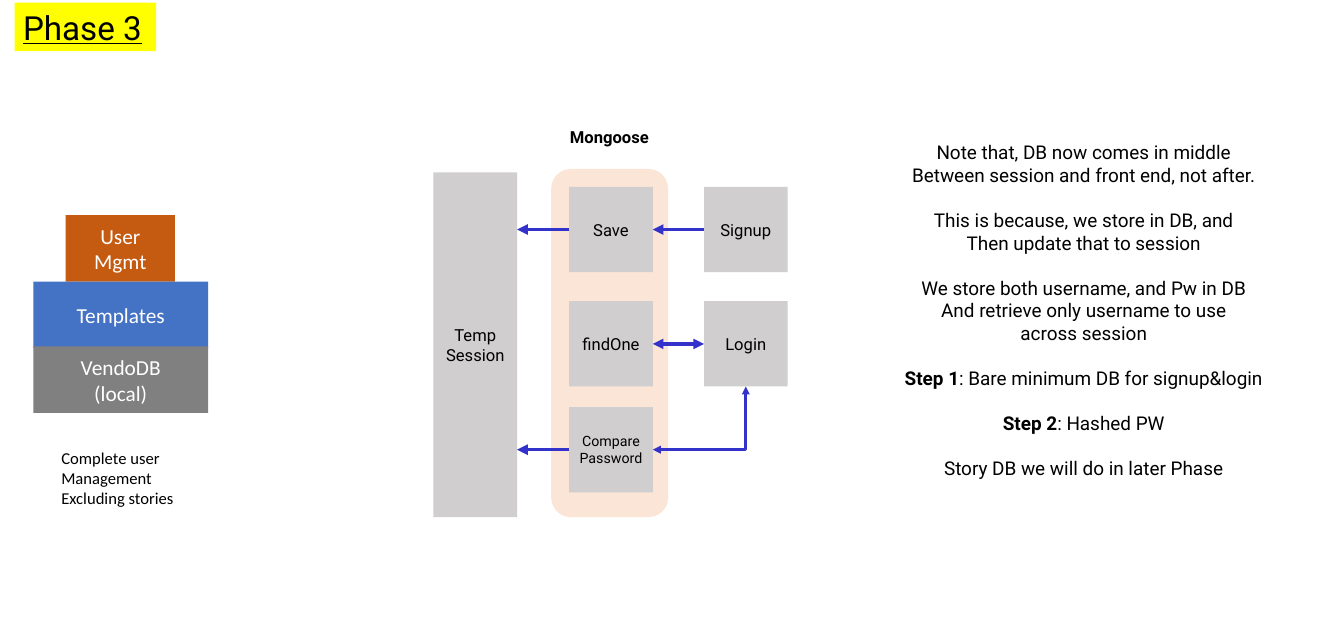
from dataclasses import dataclass

from lxml.etree import SubElement
from pptx import Presentation
from pptx.dml.color import RGBColor
from pptx.enum.shapes import MSO_CONNECTOR, MSO_SHAPE
from pptx.enum.text import MSO_ANCHOR, MSO_AUTO_SIZE, PP_ALIGN
from pptx.oxml.ns import qn
from pptx.util import Emu, Pt


@dataclass(frozen=True)
class Theme:
    display: str = "Roboto"
    body: str = "Calibri"
    black: str = "000000"
    white: str = "FFFFFF"
    highlight: str = "FFFF00"
    orange: str = "C55A11"
    blue: str = "4472C4"
    gray: str = "808080"
    panel: str = "FBE5D6"
    box: str = "D0CECE"
    arrow: str = "3333CC"
    title_size: int = 28
    layer_size: int = 18
    note_size: int = 16
    label_size: int = 14
    small_size: int = 12
    note_gap: float = 18.75
    arrow_width: float = 3
    bent_width: float = 2.25


THEME = Theme()
EMU_PER_PX = 9144

TITLE = "Phase 3"
LAYERS = [
    (["User Mgmt"], (77, 252, 128, 78), THEME.orange),
    (["Templates"], (39, 330, 205, 78), THEME.blue),
    (["VendoDB", "(local)"], (39, 406, 205, 78), THEME.gray),
]
CAPTION = ["Complete user", "Management", "Excluding stories"]
LIBRARY = "Mongoose"
SESSION = ["Temp", "Session"]
MODEL_STEPS = [
    (["Save"], THEME.label_size),
    (["findOne"], THEME.label_size),
    (["Compare", "Password"], THEME.small_size),
]
PAGES = ["Signup", "Login"]
NOTES = [
    [("", "Note that, DB now comes in middle"),
     ("", "Between session and front end, not after.")],
    [("", "This is because, we store in DB, and"),
     ("", "Then update that to session")],
    [("", "We store both username, and Pw in DB"),
     ("", "And retrieve only username to use"),
     ("", "across session")],
    [("Step 1", ": Bare minimum DB for signup&login")],
    [("Step 2", ": Hashed PW")],
    [("", "Story DB we will do in later Phase")],
]

ROW_TOPS = [219, 353, 477]
MODEL_LEFT, PAGE_LEFT = 667, 825
BOX_WIDTH, BOX_HEIGHT = 98, 100
SESSION_AREA = (508, 202, 98, 404)
LEFT_SIDE, RIGHT_SIDE = 1, 3


def px(*lengths):
    return [Emu(length * EMU_PER_PX) for length in lengths]


def style(paragraph, font, size, color, align=PP_ALIGN.LEFT):
    paragraph.alignment = align
    paragraph.font.name = font
    paragraph.font.size = Pt(size)
    paragraph.font.color.rgb = RGBColor.from_string(color)


def write(frame, lines, font, size, color, align=PP_ALIGN.LEFT):
    for index, line in enumerate(lines):
        paragraph = frame.paragraphs[0] if index == 0 else frame.add_paragraph()
        paragraph.text = line
        style(paragraph, font, size, color, align)


def add_block(slide, area, fill, kind=MSO_SHAPE.RECTANGLE):
    block = slide.shapes.add_shape(kind, *px(*area))
    block.shadow.inherit = False
    block.fill.solid()
    block.fill.fore_color.rgb = RGBColor.from_string(fill)
    block.line.fill.background()
    return block


def add_labelled(slide, lines, area, fill, font, size, color):
    block = add_block(slide, area, fill)
    block.text_frame.word_wrap = True
    block.text_frame.vertical_anchor = MSO_ANCHOR.MIDDLE
    write(block.text_frame, lines, font, size, color, PP_ALIGN.CENTER)
    return block


def add_box(slide, lines, area, size=THEME.label_size):
    return add_labelled(slide, lines, area, THEME.box, THEME.display, size, THEME.black)


def add_text_area(slide, area):
    frame = slide.shapes.add_textbox(*px(*area)).text_frame
    frame.word_wrap = False
    return frame


def add_arrow(slide, start, end, width=THEME.arrow_width, both=False,
              kind=MSO_CONNECTOR.STRAIGHT):
    arrow = slide.shapes.add_connector(kind, *px(*start, *end))
    arrow.line.color.rgb = RGBColor.from_string(THEME.arrow)
    arrow.line.width = Pt(width)
    outline = arrow.line._get_or_add_ln()
    for tag in ["a:headEnd", "a:tailEnd"] if both else ["a:tailEnd"]:
        SubElement(outline, qn(tag), type="triangle")
    SubElement(arrow._element.spPr, qn("a:effectLst"))
    return arrow


def add_title(slide):
    title = slide.shapes.title
    title.left, title.top, title.width, title.height = px(17, 3, 166, 57)
    title.fill.solid()
    title.fill.fore_color.rgb = RGBColor.from_string(THEME.highlight)
    frame = title.text_frame
    frame.auto_size = MSO_AUTO_SIZE.NONE
    frame.vertical_anchor = MSO_ANCHOR.TOP
    write(frame, [TITLE], THEME.display, THEME.title_size, THEME.black)
    frame.paragraphs[0].font.underline = True


def add_layers(slide):
    for lines, area, fill in LAYERS:
        add_labelled(slide, lines, area, fill, THEME.body, THEME.layer_size, THEME.white)
    write(add_text_area(slide, (62, 520, 153, 81)), CAPTION,
          THEME.body, THEME.label_size, THEME.black)


def add_flow(slide):
    add_block(slide, (646, 198, 137, 408), THEME.panel, MSO_SHAPE.ROUNDED_RECTANGLE)
    heading = add_text_area(slide, (658, 144, 114, 34))
    write(heading, [LIBRARY], THEME.display, THEME.label_size, THEME.black)
    heading.paragraphs[0].font.bold = True

    add_box(slide, SESSION, SESSION_AREA)
    steps = [add_box(slide, lines, (MODEL_LEFT, top, BOX_WIDTH, BOX_HEIGHT), size)
             for (lines, size), top in zip(MODEL_STEPS, ROW_TOPS)]
    pages = [add_box(slide, [name], (PAGE_LEFT, top, BOX_WIDTH, BOX_HEIGHT))
             for name, top in zip(PAGES, ROW_TOPS)]

    middles = [top + BOX_HEIGHT // 2 for top in ROW_TOPS]
    model_right = MODEL_LEFT + BOX_WIDTH
    session_right = SESSION_AREA[0] + SESSION_AREA[2]

    for page, step, middle, both in zip(pages, steps, middles, [False, True]):
        arrow = add_arrow(slide, (PAGE_LEFT, middle), (model_right, middle), both=both)
        arrow.begin_connect(page, LEFT_SIDE)
        arrow.end_connect(step, RIGHT_SIDE)

    for row in (0, 2):
        arrow = add_arrow(slide, (MODEL_LEFT, middles[row]), (session_right, middles[row]))
        arrow.begin_connect(steps[row], LEFT_SIDE)

    login_bottom = (PAGE_LEFT + BOX_WIDTH // 2, ROW_TOPS[1] + BOX_HEIGHT)
    bent = add_arrow(slide, (model_right, middles[2]), login_bottom,
                     THEME.bent_width, True, MSO_CONNECTOR.ELBOW)
    bent._element.spPr.find(qn("a:prstGeom")).set("prst", "bentConnector2")


def add_notes(slide):
    frame = add_text_area(slide, (1045, 160, 450, 414))
    paragraph = frame.paragraphs[0]
    for group_index, group in enumerate(NOTES):
        for line_index, (lead, rest) in enumerate(group):
            if group_index or line_index:
                paragraph = frame.add_paragraph()
            style(paragraph, THEME.display, THEME.note_size, THEME.black, PP_ALIGN.CENTER)
            if group_index and line_index == 0:
                paragraph.space_before = Pt(THEME.note_gap)
            if lead:
                run = paragraph.add_run()
                run.text = lead
                run.font.bold = True
            paragraph.add_run().text = rest


def main():
    deck = Presentation()
    deck.slide_width, deck.slide_height = px(1575, 750)
    slide = deck.slides.add_slide(deck.slide_layouts[5])
    add_title(slide)
    add_layers(slide)
    add_flow(slide)
    add_notes(slide)
    deck.save("out.pptx")


if __name__ == "__main__":
    main()
